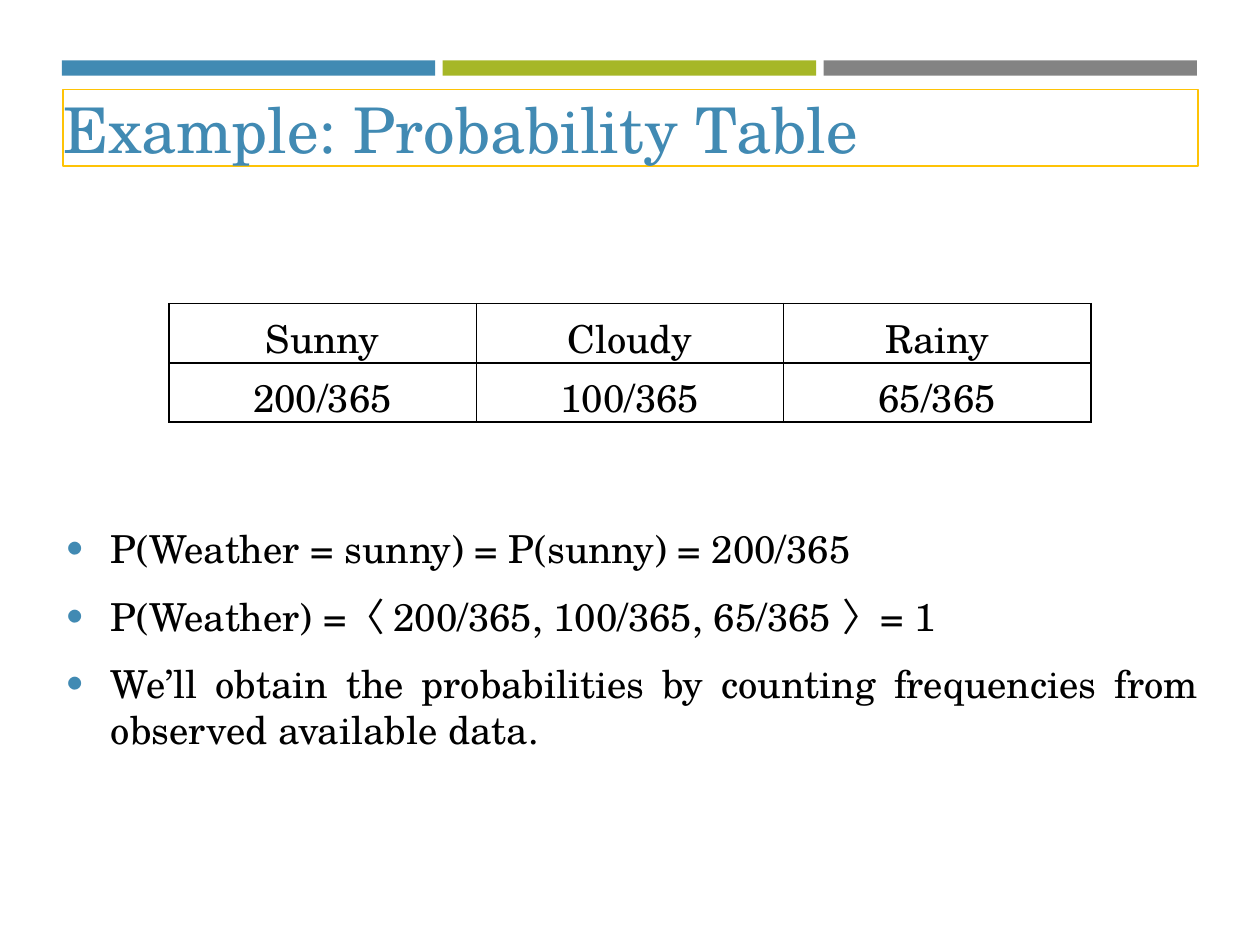
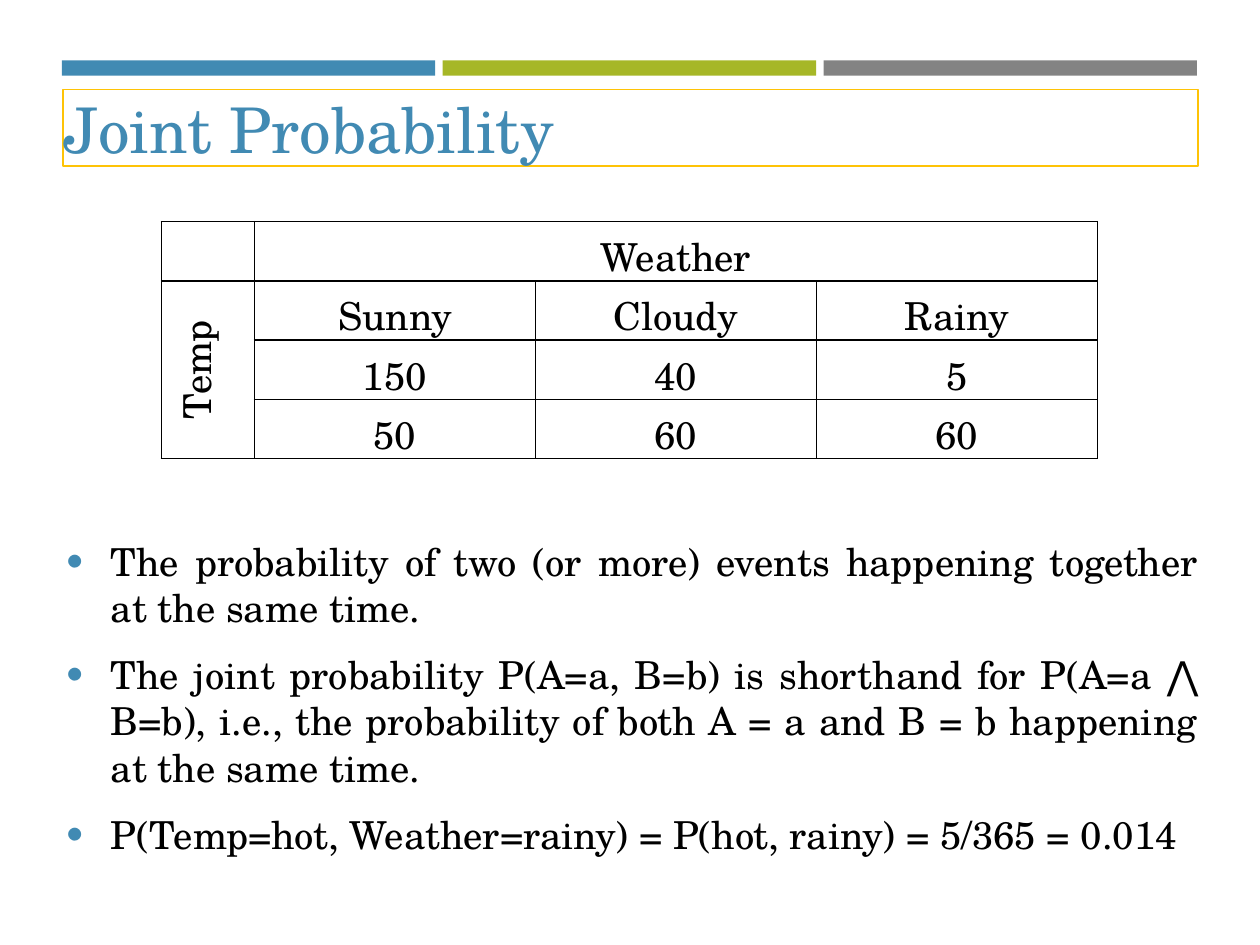
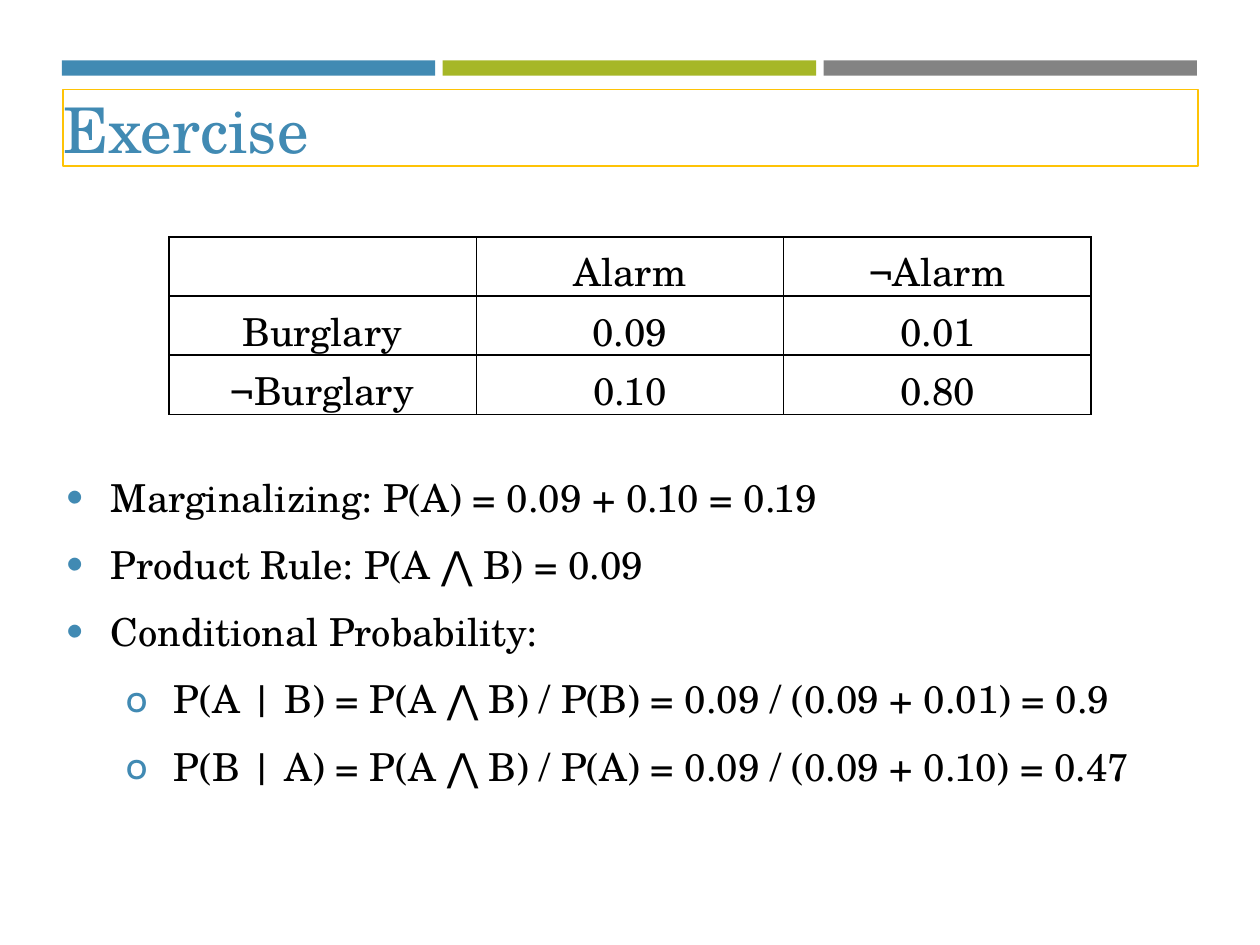
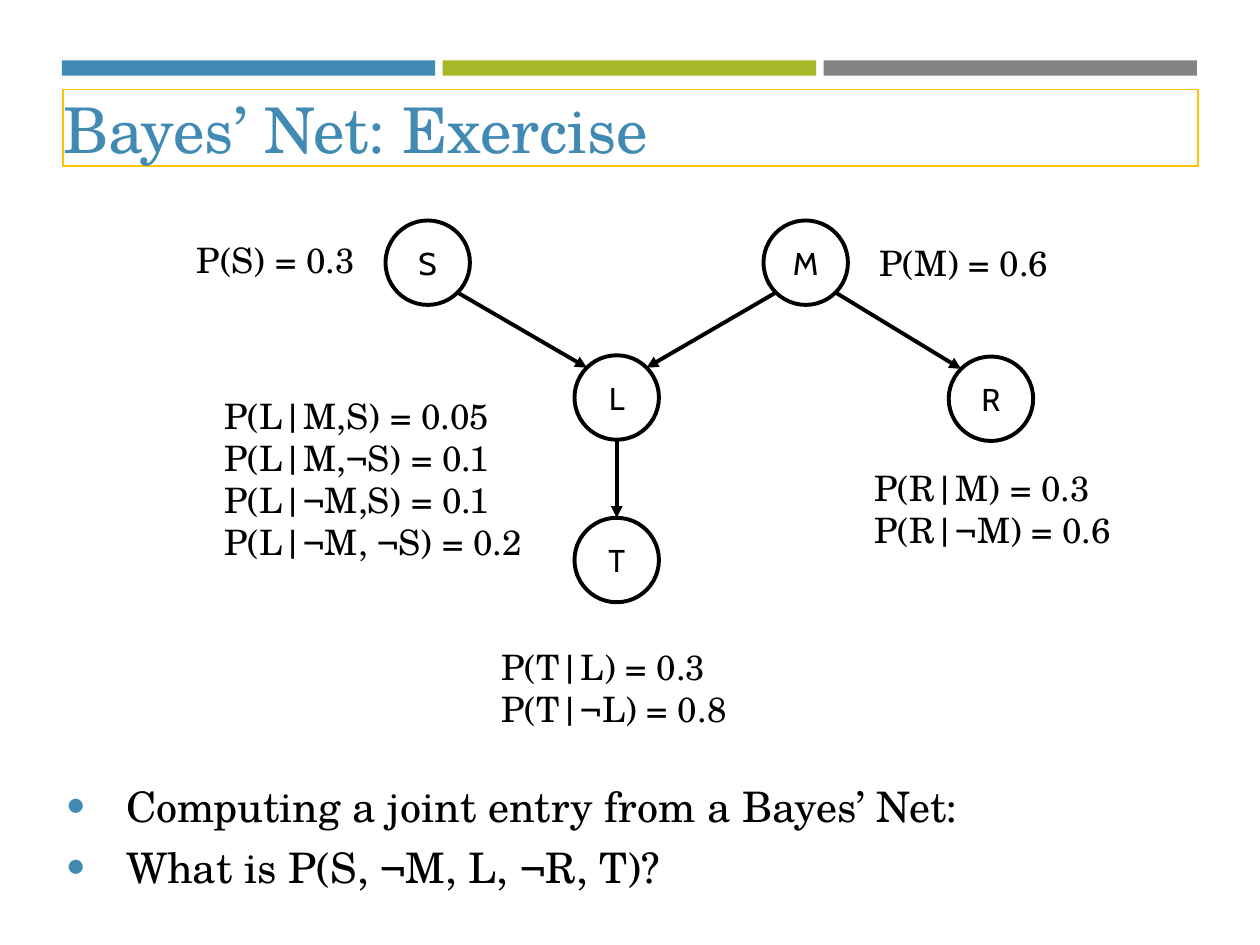
"""Build four slides on probability tables and Bayes' nets."""
from dataclasses import dataclass
from math import copysign, sqrt

from lxml.etree import SubElement
from pptx import Presentation
from pptx.dml.color import RGBColor
from pptx.enum.shapes import MSO_CONNECTOR, MSO_SHAPE
from pptx.enum.text import MSO_ANCHOR as ANCHOR, MSO_AUTO_SIZE as AUTO, PP_ALIGN as ALIGN
from pptx.oxml.ns import qn
from pptx.slide import Slide
from pptx.util import Inches, Pt

BLUE = RGBColor(0x41, 0x8A, 0xB3)
GREEN = RGBColor(0xA6, 0xB7, 0x27)
GRAY = RGBColor(0x83, 0x83, 0x83)
GOLD = RGBColor(0xFE, 0xC3, 0x06)
BLACK = RGBColor(0, 0, 0)
SERIF, SANS = "TeX Gyre Schola", "Cabin"
BULLET_MARKS = (("•", SERIF), ("o", SANS))
LEFT, WIDTH = 0.5, 9.01
ROW_HEIGHT = 0.47
NODE_SIZE = 0.67


@dataclass(frozen=True)
class Bullet:
    text: str
    level: int = 0


@dataclass(frozen=True)
class BulletStyle:
    size: int = 22
    indent: float = 0.38
    space_after: int = 12


@dataclass(frozen=True)
class Merge:
    first: tuple[int, int]
    last: tuple[int, int]


@dataclass(frozen=True)
class Grid:
    left: float
    top: float
    widths: tuple[float, ...]
    rows: tuple[tuple[str, ...], ...]
    merges: tuple[Merge, ...] = ()
    upright: tuple[tuple[int, int], ...] = ()


@dataclass(frozen=True)
class Node:
    name: str
    left: float
    top: float

    @property
    def center(self) -> tuple[float, float]:
        """Return the middle of the circle."""
        return self.left + NODE_SIZE / 2, self.top + NODE_SIZE / 2


@dataclass(frozen=True)
class Label:
    left: float
    top: float
    width: float
    height: float
    lines: tuple[str, ...]
    align: ALIGN = ALIGN.LEFT


def format_runs(p, size: int, color: RGBColor = BLACK, font: str = SERIF) -> None:
    """Give every run of a paragraph the same font."""
    for r in p.runs:
        r.font.name, r.font.size = font, Pt(size)
        r.font.color.rgb = color


def set_frame(tf, wrap: bool, inset: bool) -> None:
    """Centre a text frame vertically and set its wrapping and insets."""
    tf.word_wrap = wrap
    tf.vertical_anchor = ANCHOR.MIDDLE
    if not inset:
        tf.margin_left = tf.margin_right = tf.margin_top = tf.margin_bottom = 0
        tf.auto_size = AUTO.SHAPE_TO_FIT_TEXT


def add_bands(s: Slide) -> None:
    """Draw the three coloured bands above the title."""
    gap = 0.06
    step = (WIDTH + gap) / 3
    for i, color in enumerate((BLUE, GREEN, GRAY)):
        sp = s.shapes.add_shape(MSO_SHAPE.RECTANGLE, Inches(0.49 + i * step), Inches(0.48),
                                Inches(step - gap), Inches(0.12))
        sp.shadow.inherit = False
        sp.fill.solid()
        sp.fill.fore_color.rgb = color
        sp.line.fill.background()


def add_title(s: Slide, text: str) -> None:
    """Draw the outlined title box."""
    sp = s.shapes.add_textbox(Inches(LEFT), Inches(0.71), Inches(WIDTH), Inches(0.61))
    sp.line.color.rgb, sp.line.width = GOLD, Pt(1)
    set_frame(sp.text_frame, wrap=True, inset=False)
    sp.text_frame.text = text
    format_runs(sp.text_frame.paragraphs[0], 36, BLUE)


def set_bullet(p, level: int, indent: float) -> None:
    """Give a paragraph a blue bullet with a hanging indent."""
    char, font = BULLET_MARKS[level]
    pPr = p._p.get_or_add_pPr()
    pPr.set("marL", str(Inches(indent + 0.5 * level)))
    pPr.set("indent", str(-Inches(indent)))
    SubElement(SubElement(pPr, qn("a:buClr")), qn("a:srgbClr"), val=str(BLUE))
    SubElement(pPr, qn("a:buFont"), typeface=font)
    SubElement(pPr, qn("a:buChar"), char=char)


def add_bullets(s: Slide, top: float, height: float, bullets: list[Bullet],
                style: BulletStyle = BulletStyle()) -> None:
    """Draw the justified bullet list."""
    sp = s.shapes.add_textbox(Inches(LEFT), Inches(top), Inches(WIDTH), Inches(height))
    tf = sp.text_frame
    set_frame(tf, wrap=True, inset=False)
    tf.text = "\n".join(b.text for b in bullets)
    for p, b in zip(tf.paragraphs, bullets):
        p.level = b.level
        set_bullet(p, b.level, style.indent)
        p.alignment = ALIGN.JUSTIFY
        p.space_after = Pt(style.space_after)
        format_runs(p, style.size)


def style_cell(cell) -> None:
    """Outline a cell in black, clear its fill and centre its text."""
    tcPr = cell._tc.get_or_add_tcPr()
    for side in ("lnL", "lnR", "lnT", "lnB"):
        ln = SubElement(tcPr, qn(f"a:{side}"), w=str(Pt(1)))
        SubElement(SubElement(ln, qn("a:solidFill")), qn("a:srgbClr"), val=str(BLACK))
    cell.fill.background()
    cell.vertical_anchor = ANCHOR.MIDDLE
    p = cell.text_frame.paragraphs[0]
    p.alignment = ALIGN.CENTER
    format_runs(p, 22)


def add_grid(s: Slide, grid: Grid) -> None:
    """Draw a plain bordered table."""
    n = len(grid.rows)
    table = s.shapes.add_table(n, len(grid.widths), Inches(grid.left), Inches(grid.top),
                               Inches(sum(grid.widths)), Inches(n * ROW_HEIGHT)).table
    table.first_row = table.horz_banding = False
    for column, width in zip(table.columns, grid.widths):
        column.width = Inches(width)
    for i, row in enumerate(grid.rows):
        for j, text in enumerate(row):
            cell = table.cell(i, j)
            cell.text = text
            style_cell(cell)
    for m in grid.merges:
        table.cell(*m.first).merge(table.cell(*m.last))
    for position in grid.upright:
        table.cell(*position)._tc.get_or_add_tcPr().set("vert", "vert270")


def add_node(s: Slide, node: Node) -> None:
    """Draw one variable of the net as a circle."""
    sp = s.shapes.add_shape(MSO_SHAPE.OVAL, Inches(node.left), Inches(node.top),
                            Inches(NODE_SIZE), Inches(NODE_SIZE))
    sp.shadow.inherit = False
    sp.fill.background()
    sp.line.color.rgb, sp.line.width = BLACK, Pt(2.25)
    tf = sp.text_frame
    set_frame(tf, wrap=False, inset=True)
    tf.text = node.name
    tf.paragraphs[0].alignment = ALIGN.CENTER
    format_runs(tf.paragraphs[0], 18, font=SANS)


def add_arrow(s: Slide, parent: Node, child: Node) -> None:
    """Draw an arrow down from one circle's rim to another's."""
    (x1, y1), (x2, y2) = parent.center, child.center
    radius = NODE_SIZE / 2
    straight = abs(x2 - x1) < 0.01
    dx = 0 if straight else copysign(radius / sqrt(2), x2 - x1)
    dy = radius if straight else radius / sqrt(2)
    c = s.shapes.add_connector(MSO_CONNECTOR.STRAIGHT, Inches(x1 + dx), Inches(y1 + dy),
                               Inches(x2 - dx), Inches(y2 - dy))
    c.line.color.rgb, c.line.width = BLACK, Pt(2.25)
    SubElement(c.line._get_or_add_ln(), qn("a:tailEnd"), type="triangle")
    SubElement(c._element.spPr, qn("a:effectLst"))


def add_label(s: Slide, label: Label) -> None:
    """Draw the probabilities that belong to a node."""
    sp = s.shapes.add_textbox(Inches(label.left), Inches(label.top),
                              Inches(label.width), Inches(label.height))
    tf = sp.text_frame
    set_frame(tf, wrap=False, inset=True)
    tf.text = "\n".join(label.lines)
    for p in tf.paragraphs:
        p.alignment = label.align
        format_runs(p, 20)


def add_slide(prs, title: str) -> Slide:
    """Add a blank slide with the shared bands and title."""
    s = prs.slides.add_slide(prs.slide_layouts[6])
    add_bands(s)
    add_title(s, title)
    return s


def build_probability_table(prs) -> None:
    """Build the weather table slide."""
    s = add_slide(prs, "Example: Probability Table")
    add_grid(s, Grid(1.34, 2.41, (2.44,) * 3, (
        ("Sunny", "Cloudy", "Rainy"),
        ("200/365", "100/365", "65/365"),
    )))
    add_bullets(s, 4.16, 1.82, [
        Bullet("P(Weather = sunny) = P(sunny) = 200/365"),
        Bullet("P(Weather) =〈 200/365, 100/365, 65/365 〉= 1"),
        Bullet("We’ll obtain the probabilities by counting frequencies from "
               "observed available data."),
    ])


def build_joint_probability(prs) -> None:
    """Build the joint probability slide."""
    s = add_slide(prs, "Joint Probability")
    add_bullets(s, 4.07, 2.93, [
        Bullet("The probability of two (or more) events happening together at the same time."),
        Bullet("The joint probability P(A=a, B=b) is shorthand for P(A=a ⋀ B=b), i.e., "
               "the probability of both A = a and B = b happening at the same time."),
        Bullet("P(Temp=hot, Weather=rainy) = P(hot, rainy) = 5/365 = 0.014"),
    ])
    add_grid(s, Grid(1.28, 1.76, (0.74,) + (2.23,) * 3, (
        ("", "Weather", "", ""),
        ("Temp", "Sunny", "Cloudy", "Rainy"),
        ("", "150", "40", "5"),
        ("", "50", "60", "60"),
    ), (Merge((0, 1), (0, 3)), Merge((1, 0), (3, 0))), ((1, 0),)))


def build_exercise(prs) -> None:
    """Build the burglary exercise slide."""
    s = add_slide(prs, "Exercise")
    add_bullets(s, 3.75, 2.52, [
        Bullet("Marginalizing: P(A) = 0.09 + 0.10 = 0.19"),
        Bullet("Product Rule: P(A ⋀ B) = 0.09"),
        Bullet("Conditional Probability:"),
        Bullet("P(A | B) = P(A ⋀ B) / P(B) = 0.09 / (0.09 + 0.01) = 0.9", 1),
        Bullet("P(B | A) = P(A ⋀ B) / P(A) = 0.09 / (0.09 + 0.10) = 0.47", 1),
    ])
    add_grid(s, Grid(1.34, 1.88, (2.44,) * 3, (
        ("", "Alarm", "¬Alarm"),
        ("Burglary", "0.09", "0.01"),
        ("¬Burglary", "0.10", "0.80"),
    )))


def build_bayes_net(prs) -> None:
    """Build the Bayes' net slide."""
    s = add_slide(prs, "Bayes’ Net: Exercise")
    labels = (
        Label(1.39, 1.85, 1.6, 0.42, ("P(S) = 0.3",), ALIGN.CENTER),
        Label(6.85, 1.87, 1.6, 0.42, ("P(M) = 0.6",), ALIGN.CENTER),
        Label(6.84, 3.6, 2.15, 0.87, ("P(R|M) = 0.3", "P(R|¬M) = 0.6")),
        Label(3.88, 5.02, 2.05, 0.87, ("P(T|L) = 0.3", "P(T|¬L) = 0.8")),
        Label(1.68, 3.08, 2.61, 1.44, ("P(L|M,S) = 0.05", "P(L|M,¬S) = 0.1",
                                       "P(L|¬M,S) = 0.1", "P(L|¬M, ¬S) = 0.2")),
    )
    for label in labels:
        add_label(s, label)
    nodes = {n.name: n for n in (
        Node("S", 3.06, 1.75), Node("M", 6.06, 1.75), Node("L", 4.56, 2.82),
        Node("R", 7.53, 2.83), Node("T", 4.56, 4.11),
    )}
    for node in nodes.values():
        add_node(s, node)
    for parent, child in ("SL", "ML", "MR", "LT"):
        add_arrow(s, nodes[parent], nodes[child])
    add_bullets(s, 6.19, 0.89, [
        Bullet("Computing a joint entry from a Bayes’ Net:"),
        Bullet("What is P(S, ¬M, L, ¬R, T)?"),
    ], BulletStyle(24, 0.5, 6))


def main() -> None:
    """Build and save the presentation."""
    prs = Presentation()
    prs.slide_width, prs.slide_height = Inches(10), Inches(7.5)
    build_probability_table(prs)
    build_joint_probability(prs)
    build_exercise(prs)
    build_bayes_net(prs)
    prs.save("out.pptx")


if __name__ == "__main__":
    main()
